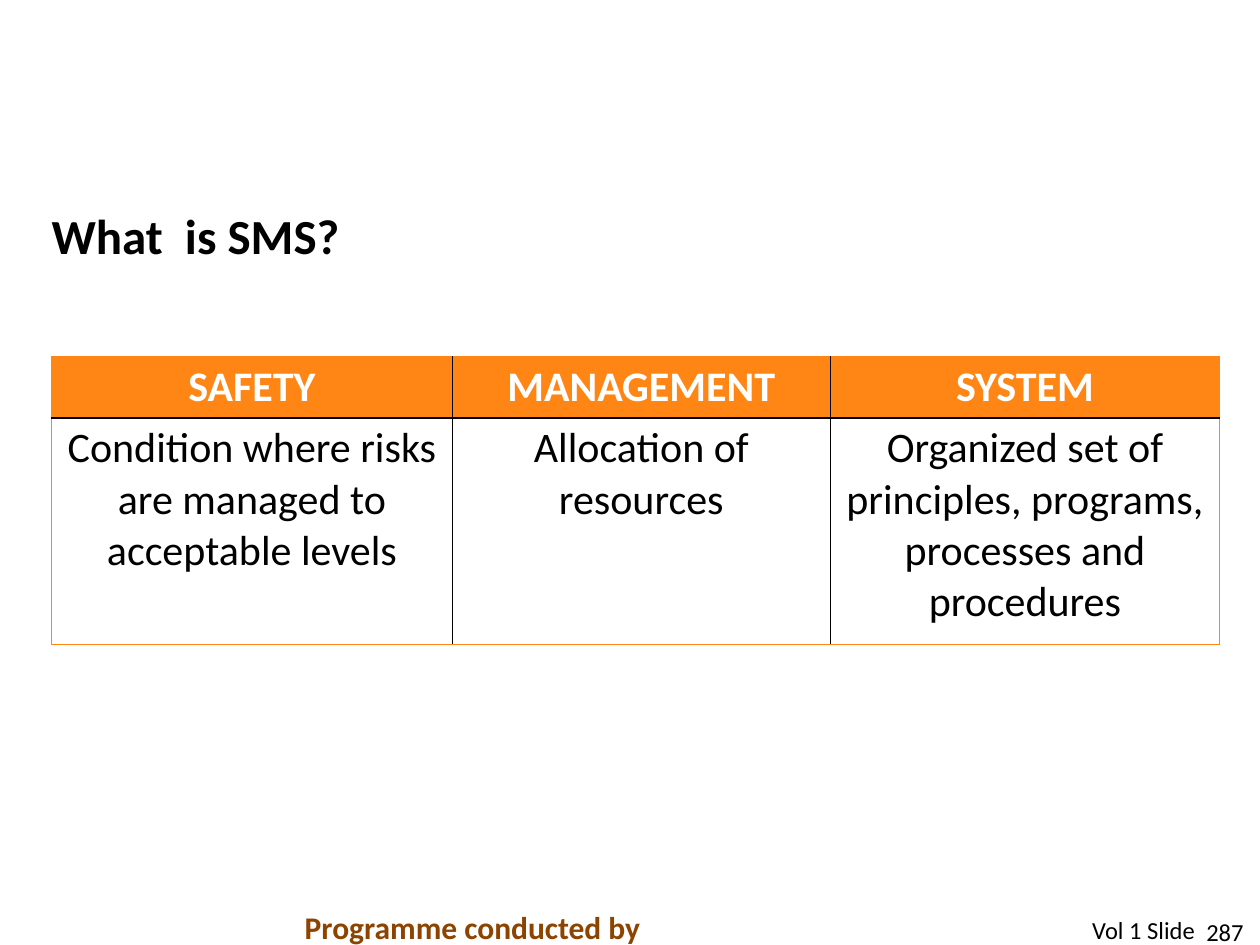
from lxml import etree
from pptx import Presentation
from pptx.dml.color import RGBColor
from pptx.enum.text import MSO_ANCHOR, MSO_AUTO_SIZE, PP_ALIGN
from pptx.oxml.ns import qn
from pptx.util import Inches, Pt

LEFT, CENTER, RIGHT = PP_ALIGN.LEFT, PP_ALIGN.CENTER, PP_ALIGN.RIGHT
TOP, MIDDLE, BOTTOM = MSO_ANCHOR.TOP, MSO_ANCHOR.MIDDLE, MSO_ANCHOR.BOTTOM
NO_FIT = MSO_AUTO_SIZE.NONE
BLACK = RGBColor(0x00, 0x00, 0x00)
WHITE = RGBColor(0xFF, 0xFF, 0xFF)
ORANGE = RGBColor(0xFF, 0x86, 0x15)
BROWN = RGBColor(0x8D, 0x44, 0x00)
TITLE_ONLY = 5
GRID_COLS, GRID_ROWS = 100, 75
FLUSH = (0, 0, 0, 0)
PADDED = (0.1, 0.05, 0.1, 0.05)
CELL_PAD = (0.07, 0.04, 0.07, 0.04)

COLUMNS = [
    ("SAFETY", "Condition where risks are managed to acceptable levels"),
    ("MANAGEMENT", "Allocation of resources"),
    ("SYSTEM", "Organized set of principles, programs, processes and procedures"),
]


class SlideBuilder:
    font = "Calibri"

    def __init__(self, prs):
        self.col = prs.slide_width / GRID_COLS
        self.row = prs.slide_height / GRID_ROWS
        self.s = prs.slides.add_slide(prs.slide_layouts[TITLE_ONLY])

    def box(self, x, y, w, h):
        return (round(x * self.col), round(y * self.row),
                round(w * self.col), round(h * self.row))

    def add_run(self, tf, text, size, color=BLACK, bold=False, align=LEFT):
        p = tf.paragraphs[0]
        p.alignment = align
        r = p.add_run()
        r.text = text
        style = {"name": self.font, "size": Pt(size), "bold": bold}
        for name, value in style.items():
            setattr(r.font, name, value)
        r.font.color.rgb = color

    def pad(self, target, insets, anchor):
        for side, inset in zip(("left", "top", "right", "bottom"), insets):
            setattr(target, f"margin_{side}", Inches(inset))
        target.vertical_anchor = anchor

    def frame(self, sp, text, size, insets, anchor, **style):
        tf = sp.text_frame
        tf.word_wrap = True
        tf.auto_size = NO_FIT
        self.pad(tf, insets, anchor)
        self.add_run(tf, text, size, **style)

    def title(self, text, area, size):
        sp = self.s.shapes.title
        sp.left, sp.top, sp.width, sp.height = self.box(*area)
        self.frame(sp, text, size, FLUSH, BOTTOM, bold=True)

    def text(self, text, area, size, insets=PADDED, anchor=TOP, **style):
        sp = self.s.shapes.add_textbox(*self.box(*area))
        self.frame(sp, text, size, insets, anchor, **style)

    def border(self, cell, side, color, width):
        ln = etree.SubElement(cell._tc.get_or_add_tcPr(), qn(f"a:ln{side}"),
                              w=str(Pt(width)))
        fill = etree.SubElement(ln, qn("a:solidFill"))
        etree.SubElement(fill, qn("a:srgbClr"), val=str(color))

    def table(self, columns, area, widths, heights, size):
        rows = list(zip(*columns))
        shape = self.s.shapes.add_table(len(rows), len(columns), *self.box(*area))
        table = shape.table
        table.horz_banding = False
        for column, width in zip(table.columns, widths):
            column.width = round(width * self.col)
        for row, height in zip(table.rows, heights):
            row.height = round(height * self.row)
        for i, texts in enumerate(rows):
            header = i == 0
            for j, text in enumerate(texts):
                cell = table.cell(i, j)
                outer = {"L": j == 0, "R": j == len(columns) - 1,
                         "T": header, "B": i == len(rows) - 1}
                for side, is_outer in outer.items():
                    self.border(cell, side, *((ORANGE, 0.75) if is_outer else (BLACK, 1)))
                cell.fill.solid()
                cell.fill.fore_color.rgb = ORANGE if header else WHITE
                self.pad(cell, CELL_PAD, MIDDLE if header else TOP)
                self.add_run(cell.text_frame, text, size, WHITE if header else BLACK,
                             header, CENTER)


def main():
    prs = Presentation()
    prs.slide_width, prs.slide_height = Inches(10), Inches(7.5)
    slide = SlideBuilder(prs)
    slide.text("287", (94.9, 72.7, 3.8, 2.4), 14, FLUSH, BOTTOM, align=RIGHT)
    slide.text("Programme conducted by", (23.2, 71.6, 28.9, 4), 18,
               color=BROWN, bold=True)
    slide.text("Vol 1 Slide", (85.7, 72.1, 10.3, 3.4), 14)
    slide.table(COLUMNS, (4.1, 28.3, 92.7, 22.8), (31.8, 30, 30.9), (4.8, 18), 24)
    slide.title("What  is SMS?", (4.1, 16.3, 76.5, 4.7), 28)
    prs.save("out.pptx")


if __name__ == "__main__":
    main()
